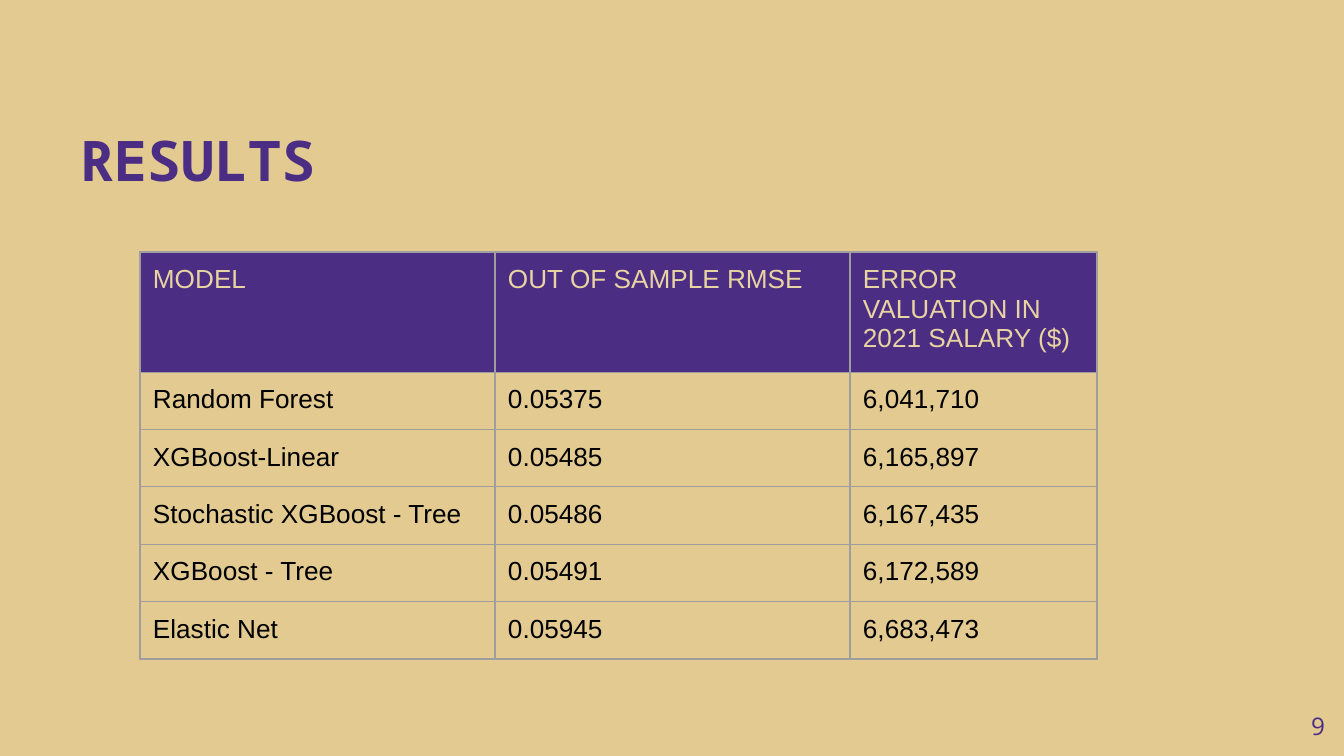
from lxml import etree
from pptx import Presentation
from pptx.dml.color import RGBColor
from pptx.enum.text import MSO_ANCHOR, PP_ALIGN
from pptx.oxml.ns import qn
from pptx.util import Pt

SLIDE_W, SLIDE_H = 1344, 756
EMU_PER_PX = 9144000 / SLIDE_W
BLANK_LAYOUT = 6
TOP, BOTTOM = MSO_ANCHOR.TOP, MSO_ANCHOR.BOTTOM
LEFT, RIGHT = PP_ALIGN.LEFT, PP_ALIGN.RIGHT

SAND, PALE_GOLD, PURPLE = "E2CA91", "E8D3A2", "4B2E83"
BLACK, GREY = "000000", "9E9E9E"
INSET, TITLE_INSET = 13, 7

HEADINGS = ("MODEL", "OUT OF SAMPLE RMSE", "ERROR VALUATION IN 2021 SALARY ($)")
SCORES = (
    ("Random Forest", "0.05375", "6,041,710"),
    ("XGBoost-Linear", "0.05485", "6,165,897"),
    ("Stochastic XGBoost - Tree", "0.05486", "6,167,435"),
    ("XGBoost - Tree", "0.05491", "6,172,589"),
    ("Elastic Net", "0.05945", "6,683,473"),
)
COLUMN_WIDTHS = (355, 355, 247)
HEADING_HEIGHT, SCORE_HEIGHT = 115, 56


def px(length):
    """Turn pixels into EMU."""
    return round(length * EMU_PER_PX)


def paint(color_format, color):
    """Set a colour from a hex string."""
    color_format.rgb = RGBColor.from_string(color)


def fill_solid(fill, color):
    """Give a fill one solid colour."""
    fill.solid()
    paint(fill.fore_color, color)


def set_insets(holder, side, vertical):
    """Set the inner margins of a text frame or table cell."""
    holder.margin_left = holder.margin_right = px(side)
    holder.margin_top = holder.margin_bottom = px(vertical)


def add_run(paragraph, words, size, font, color, bold=False):
    """Append one styled run to a paragraph."""
    run = paragraph.add_run()
    run.text = words
    run.font.size = Pt(size)
    run.font.name = font
    run.font.bold = bold
    paint(run.font.color, color)


def add_text_frame(slide, box, vertical_inset, anchor, alignment):
    """Add a wrapping text box and return its first paragraph."""
    frame = slide.shapes.add_textbox(*map(px, box)).text_frame
    frame.word_wrap = True
    frame.vertical_anchor = anchor
    set_insets(frame, INSET, vertical_inset)
    paragraph = frame.paragraphs[0]
    paragraph.alignment = alignment
    return paragraph


def add_title(slide, box):
    """Place the slide title at the bottom of its box."""
    heading = add_text_frame(slide, box, TITLE_INSET, BOTTOM, LEFT)
    add_run(heading, "RESULTS", 30, "Noto Sans Mono", PURPLE, bold=True)


def add_page_number(slide, box):
    """Place the page number at the right of its box."""
    number = add_text_frame(slide, box, INSET, TOP, RIGHT)
    add_run(number, "9", 13, "Open Sans", PURPLE)


def add_borders(cell):
    """Draw a thin grey line on every side of a cell."""
    properties = cell._tc.get_or_add_tcPr()
    for side in ("a:lnL", "a:lnR", "a:lnT", "a:lnB"):
        line = etree.SubElement(properties, qn(side), w=str(Pt(0.75)))
        solid = etree.SubElement(line, qn("a:solidFill"))
        etree.SubElement(solid, qn("a:srgbClr"), val=GREY)


def fill_cell(cell, words, is_heading):
    """Write and style one heading or score cell."""
    set_insets(cell, INSET, INSET)
    add_borders(cell)
    if is_heading:
        fill_solid(cell.fill, PURPLE)
    else:
        cell.fill.background()
    color = PALE_GOLD if is_heading else BLACK
    add_run(cell.text_frame.paragraphs[0], words, 14, "Arial", color)


def add_results_table(slide, left, top):
    """Place the model comparison with its corner at left, top."""
    rows = (HEADINGS, *SCORES)
    heights = (HEADING_HEIGHT, *[SCORE_HEIGHT] * len(SCORES))
    box = (left, top, sum(COLUMN_WIDTHS), sum(heights))
    results = slide.shapes.add_table(len(rows), len(HEADINGS), *map(px, box)).table
    results.first_row = results.horz_banding = False
    for column, width in zip(results.columns, COLUMN_WIDTHS):
        column.width = px(width)
    for row_index, (row, height, entries) in enumerate(zip(results.rows, heights, rows)):
        row.height = px(height)
        for cell, words in zip(row.cells, entries):
            fill_cell(cell, words, row_index == 0)


def main():
    """Build and save the results slide."""
    deck = Presentation()
    deck.slide_width, deck.slide_height = px(SLIDE_W), px(SLIDE_H)
    slide = deck.slides.add_slide(deck.slide_layouts[BLANK_LAYOUT])
    fill_solid(slide.background.fill, SAND)
    add_title(slide, (67, 54, 1203, 146))
    add_page_number(slide, (1258, 698, 80, 58))
    add_results_table(slide, 140, 252)
    deck.save("out.pptx")


if __name__ == "__main__":
    main()
